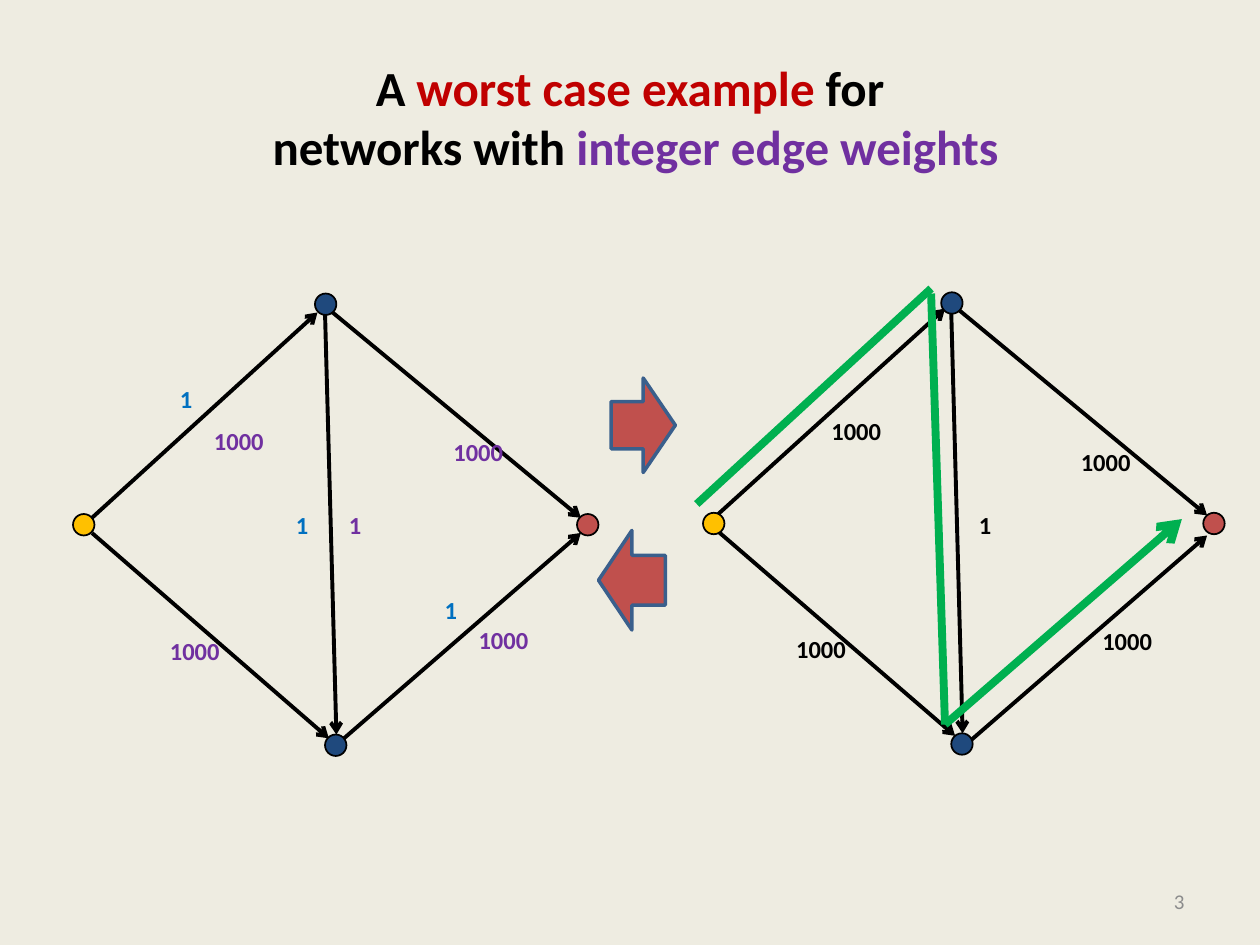
from lxml import etree
from pptx import Presentation
from pptx.dml.color import RGBColor
from pptx.enum.shapes import MSO_CONNECTOR, MSO_SHAPE
from pptx.enum.text import MSO_ANCHOR, MSO_AUTO_SIZE, PP_ALIGN
from pptx.oxml.ns import qn
from pptx.util import Inches, Pt

STRAIGHT = MSO_CONNECTOR.STRAIGHT
OVAL, RIGHT_ARROW = MSO_SHAPE.OVAL, MSO_SHAPE.RIGHT_ARROW
MIDDLE, TOP = MSO_ANCHOR.MIDDLE, MSO_ANCHOR.TOP
CENTER, LEFT, RIGHT = PP_ALIGN.CENTER, PP_ALIGN.LEFT, PP_ALIGN.RIGHT
FIT_TEXT, NO_FIT = MSO_AUTO_SIZE.SHAPE_TO_FIT_TEXT, MSO_AUTO_SIZE.NONE

BLACK, GREEN, BLUE, PURPLE = "000000", "00B050", "0070C0", "7030A0"
GOLD, NAVY, BRICK, CRIMSON = "FFC000", "1F497D", "C0504D", "C00000"
STEEL, GRAY, CREAM = "3A5F8C", "8C8C8C", "EEECE1"

LEFT_NETWORK = {
    "nodes": [(0, 1.75, GOLD), (1.92, 0, NAVY), (2, 3.5, NAVY), (4, 1.75, BRICK)],
    "edges": [
        (0.15, 1.78, 1.94, 0.15), (0.15, 1.9, 2.03, 3.53),
        (2.06, 0.15, 4.03, 1.78), (2.15, 3.53, 4.03, 1.9),
        (2, 0.17, 2.09, 3.5),
    ],
    "weights": [
        ("1000", 1.02, 1, PURPLE), ("1000", 2.92, 1.09, PURPLE),
        ("1000", 0.67, 2.67, PURPLE), ("1000", 3.12, 2.58, PURPLE),
        ("1", 2.09, 1.67, PURPLE), ("1", 0.75, 0.67, BLUE),
        ("1", 1.67, 1.67, BLUE), ("1", 2.85, 2.34, BLUE),
    ],
}
RIGHT_NETWORK = {
    "nodes": [(0, 1.75, GOLD), (1.89, 0, NAVY), (1.97, 3.5, NAVY), (3.97, 1.75, BRICK)],
    "edges": [
        (0.12, 1.76, 1.92, 0.13), (0.11, 1.89, 2, 3.52),
        (2.03, 0.14, 4, 1.77), (2.12, 3.56, 4, 1.93),
        (1.97, 0.17, 2.06, 3.5),
    ],
    "weights": [
        ("1000", 0.92, 0.93, BLACK), ("1000", 2.9, 1.18, BLACK),
        ("1000", 0.64, 2.66, BLACK), ("1000", 3.07, 2.6, BLACK),
        ("1", 2.09, 1.68, BLACK),
    ],
}


def rgb(value):
    return RGBColor.from_string(value)


def add_text(slide, box, runs, size, bold, align=LEFT, anchor=TOP, wrap=True):
    frame = slide.shapes.add_textbox(*map(Inches, box)).text_frame
    frame_format = {
        "word_wrap": wrap,
        "auto_size": NO_FIT if wrap else FIT_TEXT,
        "vertical_anchor": anchor,
    }
    for name, value in frame_format.items():
        setattr(frame, name, value)
    paragraph = frame.paragraphs[0]
    paragraph.alignment = align
    for words, color in runs:
        if words == "\v":
            paragraph.add_line_break()
            continue
        run = paragraph.add_run()
        run.text = words
        for name, value in {"name": "Calibri", "size": Pt(size), "bold": bold}.items():
            setattr(run.font, name, value)
        run.font.color.rgb = rgb(color)


def add_outlined(slide, kind, box, fill, line, width):
    shape = slide.shapes.add_shape(kind, *map(Inches, box))
    shape.shadow.inherit = False
    shape.fill.solid()
    shape.fill.fore_color.rgb = rgb(fill)
    shape.line.color.rgb = rgb(line)
    shape.line.width = Pt(width)
    return shape


def add_edge(slide, ends, color, width, arrow=True):
    edge = slide.shapes.add_connector(STRAIGHT, *map(Inches, ends))
    edge.line.color.rgb = rgb(color)
    edge.line.width = Pt(width)
    if arrow:
        etree.SubElement(edge.line._get_or_add_ln(), qn("a:tailEnd"), type="arrow")
    etree.SubElement(edge._element.spPr, qn("a:effectLst"))


def add_title(slide, box):
    runs = [
        ("A ", BLACK), ("worst case example", CRIMSON), (" for", BLACK), ("\v", BLACK),
        (" networks with ", BLACK), ("integer edge weights", PURPLE),
    ]
    add_text(slide, box, runs, 28, True, CENTER, MIDDLE)


def add_network(slide, left, top, network):
    for x1, y1, x2, y2 in network["edges"]:
        add_edge(slide, (left + x1, top + y1, left + x2, top + y2), BLACK, 2.25)
    for x, y, color in network["nodes"]:
        add_outlined(slide, OVAL, (left + x, top + y, 0.17, 0.17), color, BLACK, 1)
    for weight, x, y, color in network["weights"]:
        width = 0.2 + 0.1 * len(weight)
        add_text(slide, (left + x, top + y, width, 0.34), [(weight, color)],
                 14, True, wrap=False)


def add_augmenting_path(slide, left, top):
    for x1, y1, x2, y2, arrow in [
        (1.97, 3.46, 3.85, 1.83, True),
        (0, 1.71, 1.86, 0, False),
        (1.97, 3.46, 1.86, 0.04, False),
    ]:
        add_edge(slide, (left + x1, top + y1, left + x2, top + y2), GREEN, 4.5, arrow)


def add_exchange_arrows(slide, left, top):
    add_outlined(slide, RIGHT_ARROW, (left + 0.1, top, 0.51, 0.75), BRICK, STEEL, 2)
    back = add_outlined(slide, RIGHT_ARROW, (left, top + 1.21, 0.53, 0.79), BRICK, STEEL, 2)
    back.rotation = 180


def main():
    deck = Presentation()
    deck.slide_width, deck.slide_height = Inches(10), Inches(7.5)
    slide = deck.slides.add_slide(deck.slide_layouts[6])
    slide.background.fill.solid()
    slide.background.fill.fore_color.rgb = rgb(CREAM)
    add_title(slide, (0.5, 0.3, 9, 1.25))
    add_network(slide, 0.58, 2.33, LEFT_NETWORK)
    add_network(slide, 5.58, 2.32, RIGHT_NETWORK)
    add_augmenting_path(slide, 5.53, 2.29)
    add_exchange_arrows(slide, 4.75, 3)
    add_text(slide, (7.17, 6.95, 2.33, 0.4), [("3", GRAY)], 12, False, RIGHT, MIDDLE)
    deck.save("out.pptx")


if __name__ == "__main__":
    main()
